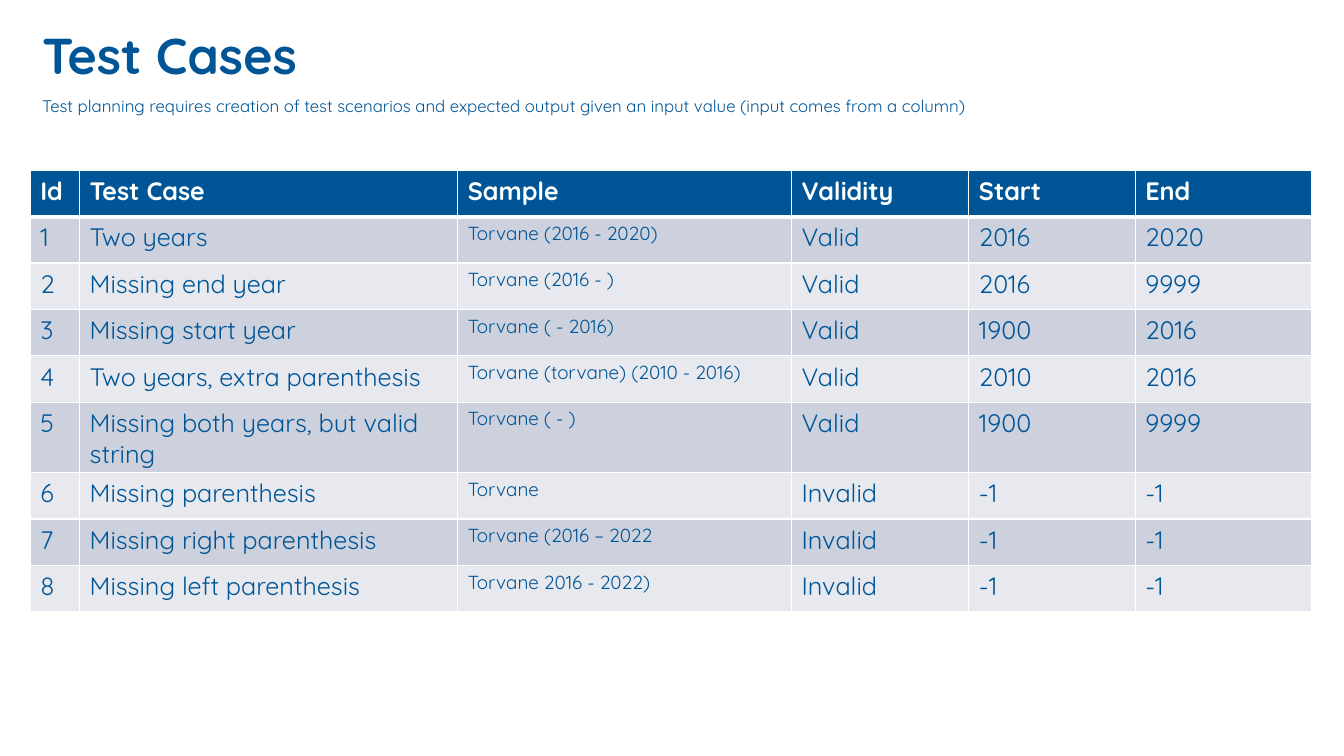
from lxml.etree import SubElement
from pptx import Presentation
from pptx.dml.color import RGBColor
from pptx.enum.text import MSO_ANCHOR
from pptx.oxml.ns import qn
from pptx.util import Inches, Pt

FONT = "Quicksand"
BLUE, WHITE = "005596", "FEFFFF"
BANDS = ("CCD1DD", "E7E9EF")
LEFT, WIDTH = 0.32, 12.72
TABLE_LEFT, TABLE_TOP, ROW_HEIGHT = 0.3, 1.69, 0.46
COLUMN_WIDTHS = (0.49, 3.75, 3.31, 1.76, 1.65, 1.75)
SAMPLE_COLUMN = 2
HEADINGS = ("Id", "Test Case", "Sample", "Validity", "Start", "End")
TEST_CASES = (
    ("Two years", "Torvane (2016 - 2020)", "Valid", "2016", "2020"),
    ("Missing end year", "Torvane (2016 - )", "Valid", "2016", "9999"),
    ("Missing start year", "Torvane ( - 2016)", "Valid", "1900", "2016"),
    ("Two years, extra parenthesis", "Torvane (torvane) (2010 - 2016)",
     "Valid", "2010", "2016"),
    ("Missing both years, but valid string", "Torvane ( - )",
     "Valid", "1900", "9999"),
    ("Missing parenthesis", "Torvane", "Invalid", "-1", "-1"),
    ("Missing right parenthesis", "Torvane (2016 – 2022", "Invalid", "-1", "-1"),
    ("Missing left parenthesis", "Torvane 2016 - 2022)", "Invalid", "-1", "-1"),
)


def color(hex_code):
    return RGBColor.from_string(hex_code)


def write(frame, text, size, hex_code, bold=False):
    frame.text = text
    font = frame.paragraphs[0].runs[0].font
    font.name, font.size, font.bold = FONT, Pt(size), bold
    font.color.rgb = color(hex_code)


def add_text(page, top, height, text, size, bold=False, anchor=MSO_ANCHOR.TOP):
    box = page.shapes.add_textbox(
        Inches(LEFT), Inches(top), Inches(WIDTH), Inches(height))
    frame = box.text_frame
    frame.word_wrap = True
    frame.vertical_anchor = anchor
    write(frame, text, size, BLUE, bold)


def add_borders(cell, top=1, bottom=1):
    """Draw the four cell borders; must precede the cell's fill."""
    properties = cell._tc.get_or_add_tcPr()
    for side, points in (("L", 1), ("R", 1), ("T", top), ("B", bottom)):
        line = SubElement(properties, qn(f"a:ln{side}"), w=str(Pt(points)))
        fill = SubElement(line, qn("a:solidFill"))
        SubElement(fill, qn("a:srgbClr"), val=WHITE)


def fill_cell(cell, text, row, column):
    header = row == 0
    add_borders(cell, top=3 if row == 1 else 1, bottom=3 if header else 1)
    cell.fill.solid()
    cell.fill.fore_color.rgb = color(BLUE if header else BANDS[(row - 1) % 2])
    size = 13.5 if column == SAMPLE_COLUMN and not header else 18
    write(cell.text_frame, text, size, WHITE if header else BLUE, header)


def add_case_table(page):
    rows = [HEADINGS]
    rows += [(str(number), *case) for number, case in enumerate(TEST_CASES, 1)]
    table = page.shapes.add_table(
        len(rows), len(HEADINGS), Inches(TABLE_LEFT), Inches(TABLE_TOP),
        Inches(sum(COLUMN_WIDTHS)), Inches(ROW_HEIGHT * len(rows))).table
    for column, width in zip(table.columns, COLUMN_WIDTHS):
        column.width = Inches(width)
    for row, texts in enumerate(rows):
        table.rows[row].height = Inches(ROW_HEIGHT)
        for column, text in enumerate(texts):
            fill_cell(table.cell(row, column), text, row, column)


def main():
    deck = Presentation()
    deck.slide_width, deck.slide_height = Inches(13.33), Inches(7.5)
    page = deck.slides.add_slide(deck.slide_layouts[6])
    add_text(page, 0.18, 0.72, "Test Cases", 36, True, MSO_ANCHOR.MIDDLE)
    add_case_table(page)
    add_text(page, 0.9, 0.45,
             "Test planning requires creation of test scenarios and expected "
             "output given an input value (input comes from a column)", 12)
    deck.save("out.pptx")


if __name__ == "__main__":
    main()
